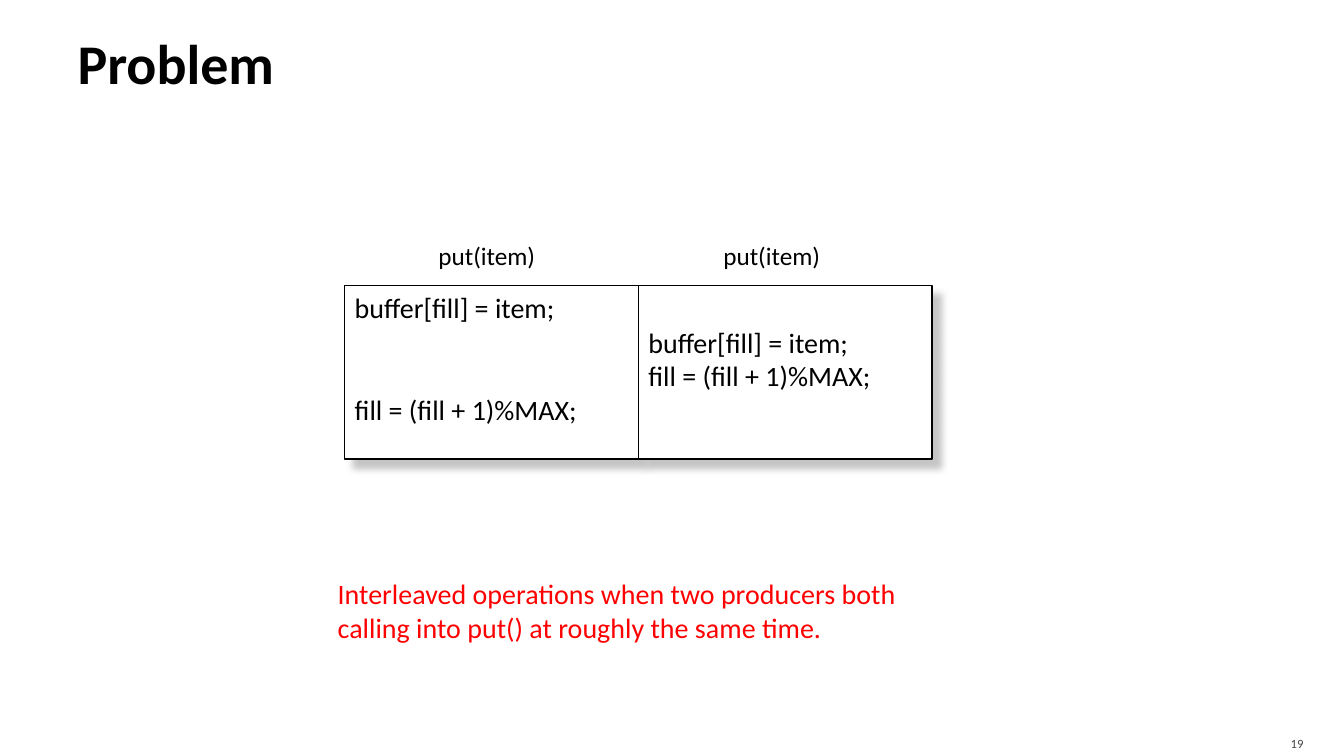
"""Build the slide on two producers that interleave their put calls."""
from lxml.etree import SubElement
from pptx import Presentation
from pptx.dml.color import RGBColor
from pptx.enum.shapes import MSO_SHAPE
from pptx.enum.text import MSO_ANCHOR, MSO_AUTO_SIZE, PP_ALIGN
from pptx.oxml.ns import qn
from pptx.util import Cm, Pt

BLACK = RGBColor(0x00, 0x00, 0x00)
WHITE = RGBColor(0xFF, 0xFF, 0xFF)
RED = RGBColor(0xFF, 0x00, 0x00)
GREY = RGBColor(0x45, 0x45, 0x45)
SHADE = RGBColor(0xB2, 0xB2, 0xB2)

TITLE = "Problem"
CALL = "put(item)"
STEPS = ["buffer[fill] = item;", "fill = (fill + 1)%MAX;"]
NOTE = ("Interleaved operations when two producers both "
        "calling into put() at roughly the same time.")
NUMBER = "19"

LINE = 24.4
CALLERS = [
    {"label": 10.8, "top": 0, "gap": 2},
    {"label": 17.98, "top": 1, "gap": 0},
]
LEFT, TOP, WIDTH, HEIGHT = 8.69, 7.2, 7.4, 4.37


def write(shape, lines, size, color=BLACK, bold=False, align=PP_ALIGN.LEFT,
          anchor=MSO_ANCHOR.TOP, wrap=True, gap=0, top=0.13, bottom=0.13):
    """Put lines of text in a shape with the given format."""
    frame = shape.text_frame
    frame.auto_size = MSO_AUTO_SIZE.NONE
    frame.word_wrap = wrap
    frame.vertical_anchor = anchor
    frame.margin_top, frame.margin_bottom = Cm(top), Cm(bottom)
    frame.text = "\n".join(lines)
    for rank, para in enumerate(frame.paragraphs):
        para.alignment = align
        if rank and gap:
            para.space_before = Pt(gap)
        font = para.runs[0].font
        font.name, font.size, font.bold = "Calibri", Pt(size), bold
        font.color.rgb = color


def add_text(slide, place, lines, size, **form):
    """Add a text box at a place in centimetres."""
    box = slide.shapes.add_textbox(*map(Cm, place))
    write(box, lines, size, **form)


def add_box(slide, place):
    """Add a white framed box with a soft grey shadow."""
    box = slide.shapes.add_shape(MSO_SHAPE.RECTANGLE, *map(Cm, place))
    box.fill.solid()
    box.fill.fore_color.rgb = WHITE
    box.line.color.rgb = BLACK
    box.line.width = Pt(1)
    box.shadow.inherit = False
    effect = box._element.spPr.find(qn("a:effectLst"))
    shadow = SubElement(effect, qn("a:outerShdw"), blurRad=str(Pt(5)),
                        dist=str(Pt(8.5)), dir="2700000", algn="ctr",
                        rotWithShape="0")
    tint = SubElement(shadow, qn("a:srgbClr"), val=str(SHADE))
    SubElement(tint, qn("a:alpha"), val="75000")
    return box


def main():
    """Lay out the slide and save it."""
    deck = Presentation()
    deck.slide_width, deck.slide_height = Cm(33.87), Cm(19.05)
    slide = deck.slides.add_slide(deck.slide_layouts[5])

    title = slide.shapes.title
    title.left, title.top = Cm(1.7), Cm(0.2)
    title.width, title.height = Cm(30.48), Cm(2.74)
    write(title, [TITLE], 40, bold=True, anchor=MSO_ANCHOR.MIDDLE)

    for rank, item in enumerate(CALLERS):
        box = add_box(slide, (LEFT + rank * WIDTH, TOP, WIDTH, HEIGHT))
        write(box, STEPS, 20, wrap=False, gap=item["gap"] * LINE,
              top=0.13 + item["top"] * Pt(LINE).cm)
        add_text(slide, (item["label"], 5.92, 3.12, 1.02), [CALL], 18,
                 wrap=False)

    add_text(slide, (8.26, 14.4, 16.51, 1.96), [NOTE], 20, color=RED)
    add_text(slide, (30.38, 18.29, 2.72, 0.76), [NUMBER], 9, color=GREY,
             align=PP_ALIGN.RIGHT, anchor=MSO_ANCHOR.MIDDLE, bottom=0)
    deck.save("out.pptx")


if __name__ == "__main__":
    main()
